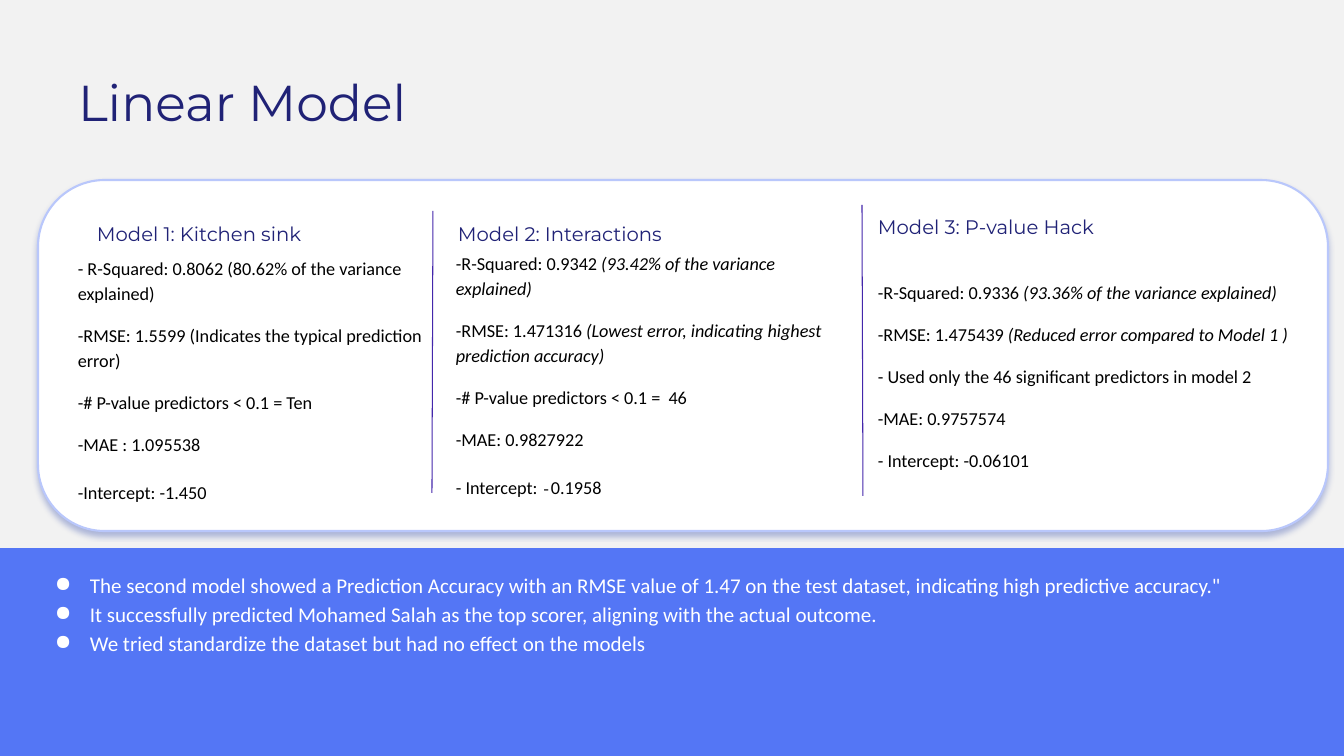
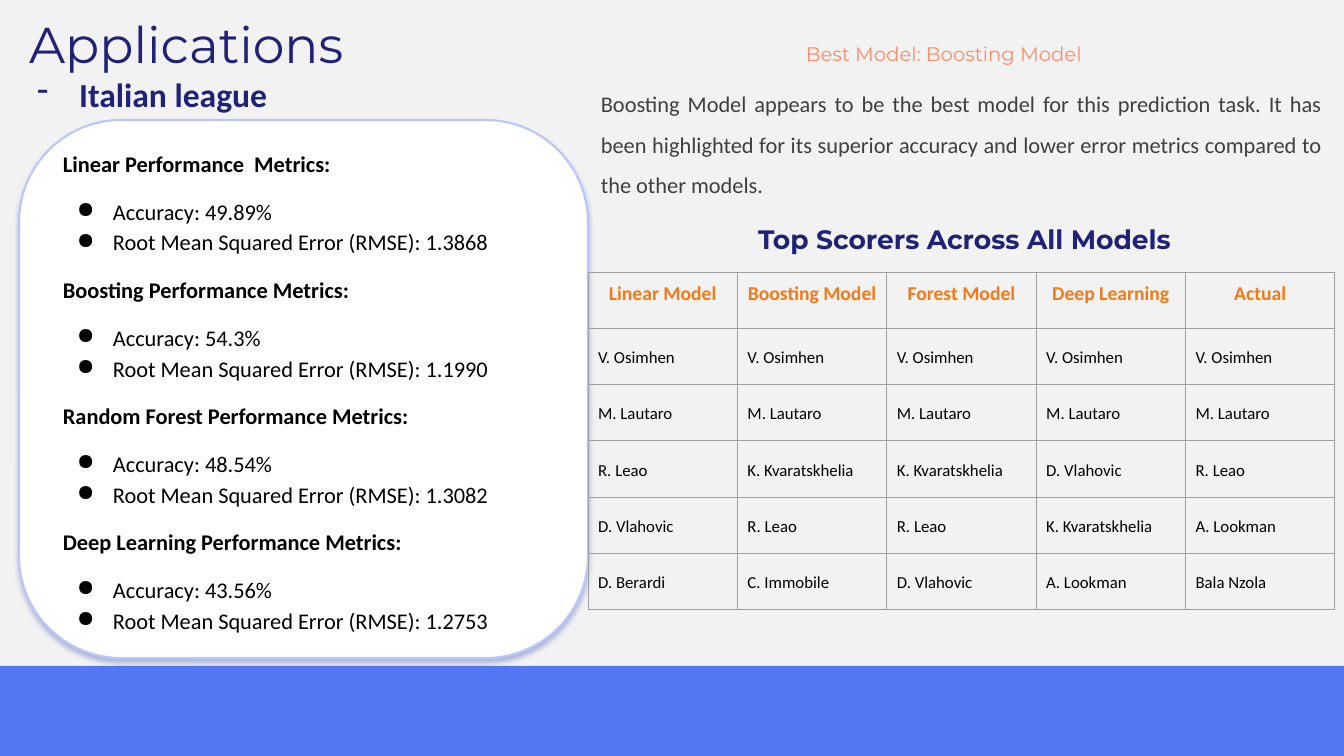
import pptx
import pptx.dml.color
import pptx.enum.shapes
import pptx.enum.text
import pptx.oxml
import pptx.oxml.ns
import pptx.util

PX = 12192000 / 1344
NAVY, BLUE, PALE_BLUE, WHITE, BLACK = "202276", "5476F5", "B9C7FB", "FFFFFF", "000000"
HEADING_FONT = "Montserrat"
NS = pptx.oxml.ns.nsdecls("a")
SHAPES = pptx.enum.shapes.MSO_SHAPE
ALIGN = pptx.enum.text.PP_ALIGN


def color(hex_string):
    return pptx.dml.color.RGBColor.from_string(hex_string)


def write(frame, lines, size, ink, font="Calibri", bold=False, spacing=1.0, before=0,
          align=ALIGN.LEFT, bullet="●", hang=35):
    """Fill a frame; '* ' starts a bulleted line, and '|' switches italics."""
    frame.word_wrap = True
    frame.auto_size = pptx.enum.text.MSO_AUTO_SIZE.NONE
    frame.text = "\n".join(lines)
    for index, paragraph in enumerate(frame.paragraphs):
        line = lines[index]
        paragraph.alignment = align
        paragraph.line_spacing = spacing
        paragraph.space_before = pptx.util.Pt(before if index else 0)
        if line.startswith("* "):
            line = line[2:]
            properties = paragraph._p.get_or_add_pPr()
            properties.set("marL", str(round(50 * PX)))
            properties.set("indent", str(round(-hang * PX)))
            properties.append(pptx.oxml.parse_xml(
                f'<a:buClr {NS}><a:srgbClr val="{ink}"/></a:buClr>'))
            properties.append(pptx.oxml.parse_xml(f'<a:buChar {NS} char="{bullet}"/>'))
        paragraph.text = ""
        for part, words in enumerate(line.split("|")):
            run = paragraph.add_run()
            run.text = words
            run.font.name = font
            run.font.size = pptx.util.Pt(size)
            run.font.bold = bold
            run.font.italic = part % 2 == 1
            run.font.color.rgb = color(ink)


prs = pptx.Presentation()
prs.slide_width, prs.slide_height = round(1344 * PX), round(756 * PX)
background = prs.slide_master.background.fill
background.solid()
background.fore_color.rgb = color("F2F2F2")

# Shared parts: title, bottom band and rounded white panel
frames = [
    ("Linear Model", (68, 66, 742, 72), (0, 548, 1344, 208), (38, 180, 1290, 351)),
    ("Applications", (19, 8, 620, 112), (0, 666, 1344, 90), (19, 120, 569, 538)),
]
slides = []
for heading, title_box, band_box, panel_box in frames:
    slide = prs.slides.add_slide(prs.slide_layouts[5])
    slides.append(slide)
    title = slide.shapes.title
    title.left, title.top, title.width, title.height = [round(v * PX) for v in title_box]
    title.text_frame.vertical_anchor = pptx.enum.text.MSO_ANCHOR.TOP
    write(title.text_frame, [heading], 36, NAVY, HEADING_FONT)

    band = slide.shapes.add_shape(SHAPES.RECTANGLE, *[round(v * PX) for v in band_box])
    band.shadow.inherit = False
    band.fill.solid()
    band.fill.fore_color.rgb = color(BLUE)
    band.line.fill.background()

    panel = slide.shapes.add_shape(SHAPES.ROUNDED_RECTANGLE,
                                   *[round(v * PX) for v in panel_box])
    panel.adjustments[0] = 0.19
    panel.fill.solid()
    panel.fill.fore_color.rgb = color(WHITE)
    panel.line.color.rgb = color(PALE_BLUE)
    panel.line.width = pptx.util.Pt(1.5)
    panel._element.spPr.append(pptx.oxml.parse_xml(
        f'<a:effectLst {NS}><a:outerShdw blurRad="50800" dist="38100" dir="5400000" '
        'algn="bl" rotWithShape="0"><a:srgbClr val="09279B"><a:alpha val="30000"/>'
        '</a:srgbClr></a:outerShdw></a:effectLst>'))

linear, applications = slides

# Slide 1: three model columns
models = [
    ("Model 1: Kitchen sink", (87, 217, 340, 34), (68, 249, 367, 252), [
        "- R-Squared: 0.8062 (80.62% of the variance explained)",
        "-RMSE: 1.5599 (Indicates the typical prediction error)",
        "-# P-value predictors < 0.1 = Ten",
        "-MAE : 1.095538",
        "-Intercept: -1.450"]),
    ("Model 2: Interactions", (448, 217, 335, 34), (446, 244, 386, 252), [
        "-R-Squared: 0.9342 |(93.42% of the variance explained)",
        "-RMSE: 1.471316 |(Lowest error, indicating highest prediction accuracy)",
        "-# P-value predictors < 0.1 =  46",
        "-MAE: 0.9827922",
        "- Intercept: |-|0.1958"]),
    ("Model 3: P-value Hack", (868, 210, 380, 34), (868, 273, 434, 202), [
        "-R-Squared: 0.9336 |(93.36% of the variance explained)",
        "-RMSE: 1.475439 |(Reduced error compared to Model 1 )",
        "- Used only the 46 significant predictors in model 2",
        "-MAE: 0.9757574",
        "- Intercept: -0.06101"]),
]
results = []
for model, name_box, result_box, lines in models:
    name = linear.shapes.add_textbox(*[round(v * PX) for v in name_box])
    write(name.text_frame, [model], 14, NAVY, HEADING_FONT)
    result = linear.shapes.add_textbox(*[round(v * PX) for v in result_box])
    write(result.text_frame, lines, 13, BLACK, spacing=1.15, before=12)
    results.append(result.text_frame)

# The intercepts of the first two models sit lower
for result in results[:2]:
    result.paragraphs[-1].line_spacing = 1.45
minus = results[1].paragraphs[-1].runs[1].font
minus.name, minus.size, minus.italic = "Courier New", pptx.util.Pt(11), False

# Column dividers
for ends in [(433, 211, 432, 493), (862, 205, 863, 496)]:
    divider = linear.shapes.add_connector(pptx.enum.shapes.MSO_CONNECTOR.STRAIGHT,
                                          *[round(v * PX) for v in ends])
    divider.line.color.rgb = color("4427AB")
    divider.line.width = pptx.util.Pt(0.75)
    divider._element.spPr.append(pptx.oxml.parse_xml(f"<a:effectLst {NS}/>"))

# Conclusions on the band
conclusions = linear.shapes.add_textbox(*[round(v * PX) for v in (30, 564, 1269, 136)])
write(conclusions.text_frame, [
    "* The second model showed a Prediction Accuracy with an RMSE value of 1.47 on the test "
    "dataset, indicating high predictive accuracy.\"",
    "* It successfully predicted Mohamed Salah as the top scorer, aligning with the actual "
    "outcome.",
    "* We tried standardize the dataset but had no effect on the models",
], 15, WHITE, spacing=1.15)

# Slide 2: league under the title
heading = applications.shapes.title.text_frame
write(heading, ["Applications", "* Italian league"], 36, NAVY, HEADING_FONT,
      bullet="-", hang=42)
league = heading.paragraphs[1].runs[0].font
league.name, league.size, league.bold = "Calibri", pptx.util.Pt(24), True

# Metrics of each model
metrics = [
    ("Linear Performance  Metrics:", "49.89%", "1.3868"),
    ("Boosting Performance Metrics:", "54.3%", "1.1990"),
    ("Random Forest Performance Metrics:", "48.54%", "1.3082"),
    ("Deep Learning Performance Metrics:", "43.56%", "1.2753"),
]
metric_lines = []
for model, accuracy, rmse in metrics:
    metric_lines += [model, f"* Accuracy: {accuracy}",
                     f"* Root Mean Squared Error (RMSE): {rmse}"]
performance = applications.shapes.add_textbox(
    *[round(v * PX) for v in (53, 136, 495, 483)]).text_frame
performance.margin_top = performance.margin_bottom = round(10 * PX)
write(performance, metric_lines, 16, BLACK, spacing=1.15, before=12, hang=36)
for model_line in performance.paragraphs[::3]:
    model_line.runs[0].font.bold = True
for rmse_line in performance.paragraphs[2::3]:
    rmse_line.space_before = pptx.util.Pt(0)

# Best model and the table heading
best = applications.shapes.add_textbox(*[round(v * PX) for v in (667, 37, 554, 34)])
write(best.text_frame, ["Best Model: Boosting Model"], 14, "FF8D69", HEADING_FONT,
      align=ALIGN.CENTER)
reason = applications.shapes.add_textbox(*[round(v * PX) for v in (591, 72, 741, 119)])
write(reason.text_frame, [
    "Boosting Model appears to be the best model for this prediction task. It has been "
    "highlighted for its superior accuracy and lower error metrics compared to the other "
    "models."], 16, "3F3F3F", spacing=1.5, align=ALIGN.JUSTIFY)
scorers_heading = applications.shapes.add_textbox(
    *[round(v * PX) for v in (594, 213, 741, 52)]).text_frame
scorers_heading.margin_top = scorers_heading.margin_bottom = round(10 * PX)
write(scorers_heading, ["Top Scorers Across All Models"], 19, NAVY, HEADING_FONT, bold=True,
      align=ALIGN.CENTER)

# Top scorers table
scorers = [
    ["Linear Model", "Boosting Model", "Forest Model", "Deep Learning", "Actual"],
    ["V. Osimhen"] * 5,
    ["M. Lautaro"] * 5,
    ["R. Leao", "K. Kvaratskhelia", "K. Kvaratskhelia", "D. Vlahovic", "R. Leao"],
    ["D. Vlahovic", "R. Leao", "R. Leao", "K. Kvaratskhelia", "A. Lookman"],
    ["D. Berardi", "C. Immobile", "D. Vlahovic", "A. Lookman", "Bala Nzola"],
]
ranking = applications.shapes.add_table(
    len(scorers), len(scorers[0]), *[round(v * PX) for v in (588, 272, 747, 338)]).table
ranking.first_row = ranking.horz_banding = False
for row, players in enumerate(scorers):
    for column, player in enumerate(players):
        cell = ranking.cell(row, column)
        cell.margin_top = cell.margin_bottom = round(10 * PX)
        for side in ("lnL", "lnR", "lnT", "lnB"):
            cell._tc.get_or_add_tcPr().append(pptx.oxml.parse_xml(
                f'<a:{side} {NS} w="9525"><a:solidFill><a:srgbClr val="9E9E9E"/>'
                f'</a:solidFill></a:{side}>'))
        cell.fill.background()
        if row == 0:
            write(cell.text_frame, [player], 14, "F57916", bold=True, align=ALIGN.CENTER)
        else:
            write(cell.text_frame, [player], 12, BLACK, spacing=1.45)

prs.save("out.pptx")
